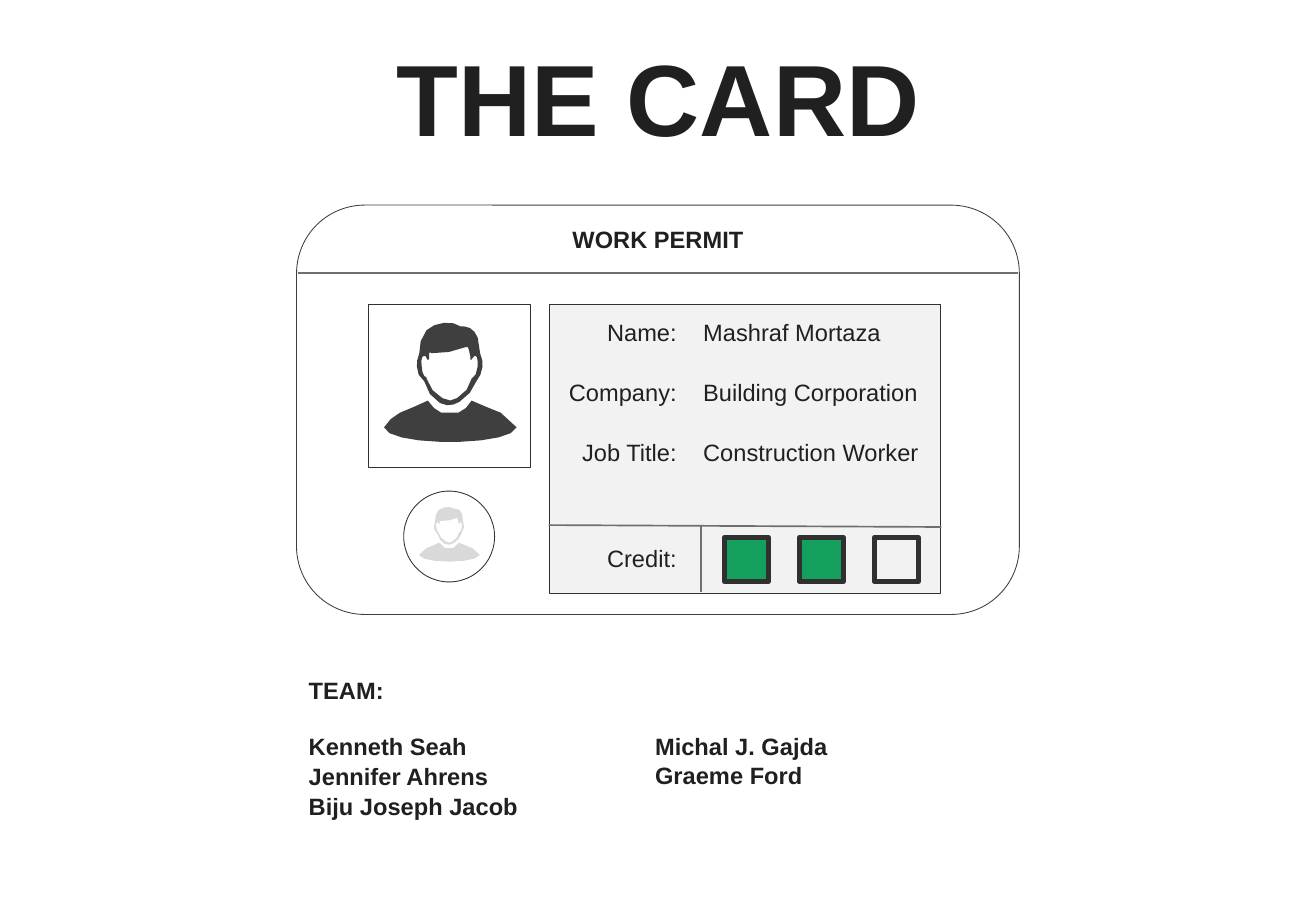
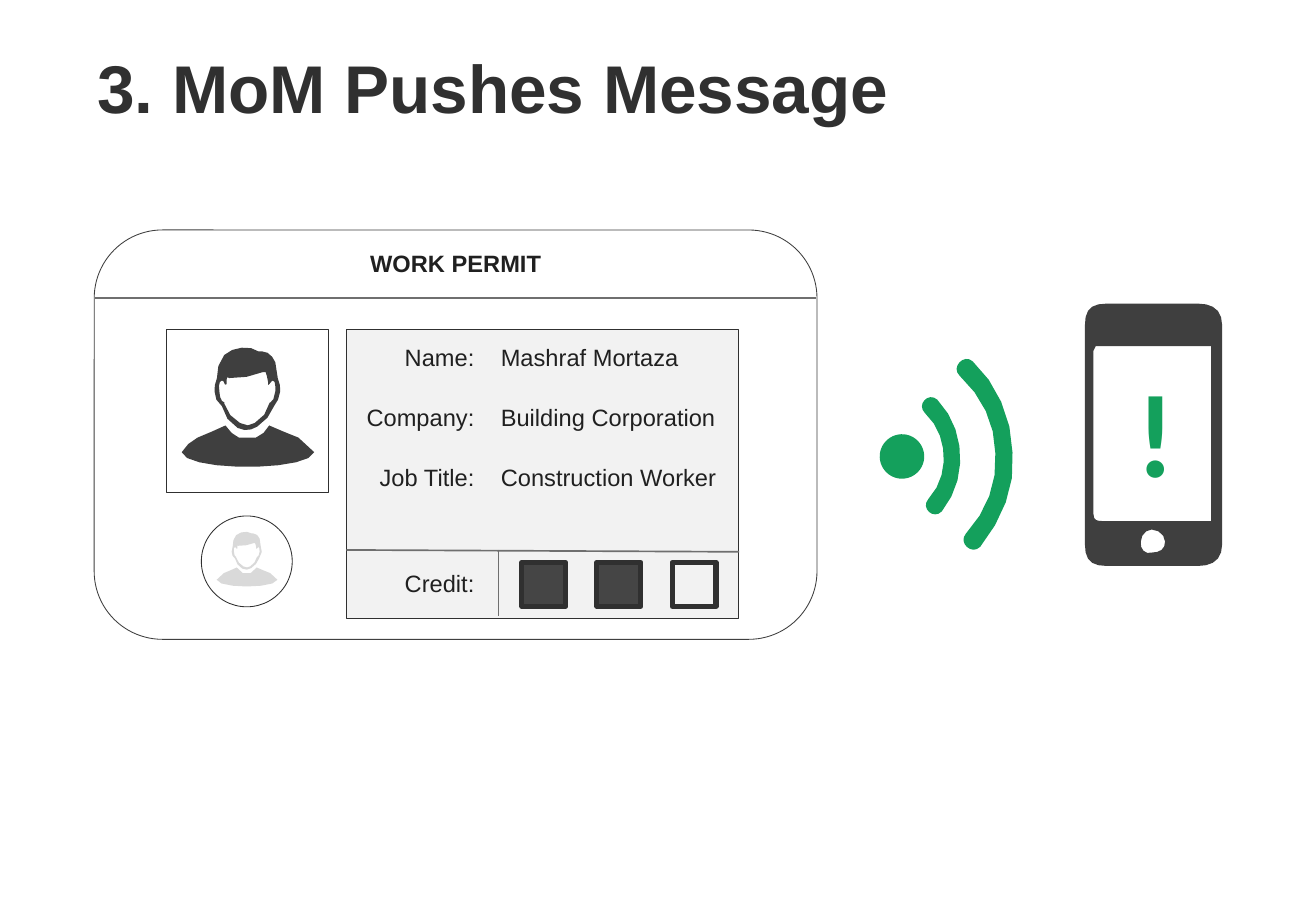
from dataclasses import dataclass
from math import dist, sqrt
from typing import Any, Optional

from lxml.etree import SubElement
from pptx import Presentation
from pptx.dml.color import RGBColor
from pptx.enum.shapes import MSO_CONNECTOR as Conn, MSO_SHAPE as Geo
from pptx.enum.text import MSO_ANCHOR as Anchor, MSO_AUTO_SIZE as AutoSize, PP_ALIGN as Align
from pptx.oxml.ns import qn
from pptx.util import Cm, Pt

COLORS = {
    "ink": "202020", "dark": "303030", "icon": "3F3F3F", "used": "454545",
    "rule": "6F6F6F", "ghost": "D9D9D9", "panel": "F2F2F2", "green": "14A05C",
}
UNITS_PER_CM = 100 / 2.54
MAX_STEPS = 10
FINE = 100


@dataclass(frozen=True)
class Box:
    x: float
    y: float
    w: float
    h: float

    def shift(self, dx: float = 0, dy: float = 0) -> "Box":
        return Box(self.x + dx, self.y + dy, self.w, self.h)

    def emu(self) -> tuple:
        return Cm(self.x), Cm(self.y), Cm(self.w), Cm(self.h)


@dataclass(frozen=True)
class Panel:
    geo: Any
    box: Box
    fill: Optional[str] = None
    line: Optional[str] = "dark"
    weight: float = 0.5


@dataclass(frozen=True)
class Rule:
    x1: float
    y1: float
    x2: float
    y2: float


@dataclass(frozen=True)
class Icon:
    """Closed contours: a start point, then three points for each curve."""
    contours: tuple
    units: float


@dataclass(frozen=True)
class Field:
    label: str
    value: str


PERSON = Icon((
    "61,76 66,74 69,71 72,66 79,71 88,71 96,76 101,79 105,83 109,88 105,104 3,104 0,88 "
    "3,83 7,79 13,76 21,71 29,71 36,66 39,71 43,74 47,76 51,77 57,77 61,76",
    "66,5 71,5 75,9 77,14 79,18 79,23 79,27 81,30 81,36 81,38 80,42 79,48 76,50 "
    "74,57 68,63 62,67 57,70 52,71 46,68 40,64 34,58 33,50 29,48 27,42 27,38 "
    "27,36 27,30 29,27 29,21 30,13 35,8 42,1 57,0 63,5 64,5 64,5 66,5",
    "37,28 37,26 38,26 39,27 44,28 63,25 67,22 68,22 68,22 69,22 70,23 70,24 70,25 "
    "71,26 71,28 71,30 71,33 71,33 72,32 74,30 74,29 75,29 77,29 77,33 77,38 "
    "77,43 74,47 73,47 73,47 72,47 72,48 71,55 66,60 60,64 56,66 53,67 48,64 "
    "42,61 37,55 35,48 35,47 35,47 35,47 33,47 31,43 31,38 30,33 31,29 33,29 "
    "34,29 35,30 35,31 35,32 36,33 37,32 37,32 37,29 37,28",
), 109)
PHONE = Icon((
    "0,198 0,211 5,216 18,216 43,216 68,216 93,216 105,216 113,211 113,198 "
    "113,137 113,78 113,18 113,5 105,0 93,0 68,0 43,0 18,0 5,0 0,5 0,18 0,78 0,137 0,198",
    "55,205 50,207 45,202 46,196 46,191 50,186 55,186 61,186 66,191 66,196 "
    "66,202 62,205 55,205",
    "7,39 7,39 7,37 9,35 39,35 71,35 104,35 104,84 104,130 104,179 "
    "74,179 44,179 14,179 11,179 7,179 7,173 7,128 7,84 7,39",
), 113)
WAVES = (
    Icon(("10,58 36,58 60,81 60,108 60,118 75,118 75,108 73,74 44,45 10,43 0,43 0,58 10,58",), 118),
    Icon(("10,16 35,16 58,25 75,43 93,60 102,83 102,108 102,118 118,118 118,108 "
          "116,79 106,52 85,33 65,12 36,0 10,0 0,0 0,16 10,16",), 118),
)

CARD_PANELS = (
    Panel(Geo.ROUNDED_RECTANGLE, Box(0, 0, 15.11, 8.56), line="icon"),
    Panel(Geo.RECTANGLE, Box(5.28, 2.08, 8.18, 6.05), fill="panel"),
    Panel(Geo.RECTANGLE, Box(1.5, 2.08, 3.4, 3.4)),
    Panel(Geo.OVAL, Box(2.24, 5.98, 1.9, 1.9)),
)
CARD_RULES = (
    Rule(0.02, 1.42, 15.09, 1.42),
    Rule(5.27, 6.69, 13.48, 6.73),
    Rule(8.45, 6.69, 8.45, 8.08),
)
FIELDS = (
    Field("Name:", "Mashraf Mortaza"),
    Field("Company:", "Building Corporation"),
    Field("Job Title:", "Construction Worker"),
)
LABEL = Box(5.46, 2.2, 2.74, 1.09)
VALUE = Box(8.25, 2.2, 5.36, 1.09)
FIELD_STEP = 1.26
CREDIT = Box(8.94, 6.95, 0.92, 0.92)
CREDIT_STEP = 1.57


def rgb(name: str) -> RGBColor:
    return RGBColor.from_string(COLORS[name])


def put_text(tf: Any, *lines: str, size: float = 14, color: str = "ink", font: str = "Arial",
             bold: bool = False, align: Any = Align.LEFT, anchor: Any = Anchor.TOP,
             wrap: bool = True, spacing: float = 1.05, gap: float = 0) -> None:
    """Fill a text frame; gap is the space in points after its first line."""
    tf.auto_size = AutoSize.NONE
    tf.word_wrap = wrap
    tf.vertical_anchor = anchor
    for i, line in enumerate(lines):
        p = tf.add_paragraph() if i else tf.paragraphs[0]
        p.alignment = align
        p.line_spacing = spacing
        p.space_before = Pt(0)
        p.space_after = Pt(0 if i else gap)
        pPr = p._p.get_or_add_pPr()
        pPr.set("marL", "0")
        pPr.set("indent", "0")
        SubElement(pPr, qn("a:buNone"))
        r = p.add_run()
        r.text = line
        r.font.name, r.font.size, r.font.bold = font, Pt(size), bold
        r.font.color.rgb = rgb(color)


def add_text(shapes: Any, box: Box, *lines: str, **fmt: Any) -> None:
    put_text(shapes.add_textbox(*box.emu()).text_frame, *lines, **fmt)


def fill_placeholder(ph: Any, box: Box, *lines: str, **fmt: Any) -> None:
    ph.left, ph.top, ph.width, ph.height = box.emu()
    put_text(ph.text_frame, *lines, bold=True, **fmt)


def paint(sp: Any, fill: Optional[str], line: Optional[str], weight: float = 0.5) -> None:
    sp.shadow.inherit = False
    if fill:
        sp.fill.solid()
        sp.fill.fore_color.rgb = rgb(fill)
    else:
        sp.fill.background()
    if line:
        sp.line.color.rgb = rgb(line)
        sp.line.width = Pt(weight)
    else:
        sp.line.fill.background()


def add_panel(shapes: Any, panel: Panel, dx: float = 0, dy: float = 0) -> None:
    sp = shapes.add_shape(panel.geo, *panel.box.shift(dx, dy).emu())
    paint(sp, panel.fill, panel.line, panel.weight)


def add_rule(shapes: Any, rule: Rule, dx: float, dy: float) -> None:
    c = shapes.add_connector(Conn.STRAIGHT, Cm(rule.x1 + dx), Cm(rule.y1 + dy),
                             Cm(rule.x2 + dx), Cm(rule.y2 + dy))
    c.line.color.rgb = rgb("rule")
    c.line.width = Pt(1)
    SubElement(c._element.spPr, qn("a:effectLst"))


def trace(contour: str, unit: float) -> list:
    """Turn cubic curves into points, with more steps where a curve bulges more."""
    pts = [tuple(float(n) * FINE for n in pair.split(",")) for pair in contour.split()]
    out = [pts[0]]
    for i in range(0, len(pts) - 1, 3):
        a, b, c, d = pts[i:i + 4]
        bulge = max(0, dist(a, b) + dist(b, c) + dist(c, d) - dist(a, d)) * unit
        steps = min(MAX_STEPS, 1 + int(10 * sqrt(bulge)))
        for k in range(1, steps + 1):
            t = k / steps
            weights = ((1 - t) ** 3, 3 * t * (1 - t) ** 2, 3 * t * t * (1 - t), t ** 3)
            out.append(tuple(sum(w * q[axis] for w, q in zip(weights, (a, b, c, d)))
                             for axis in (0, 1)))
    return out


def add_icon(shapes: Any, icon: Icon, x: float, y: float, width: float, fill: str) -> None:
    unit = width / (icon.units * FINE)
    first, *others = [trace(c, unit) for c in icon.contours]
    fb = shapes.build_freeform(*first[0], scale=Cm(1) * unit)
    fb.add_line_segments(first[1:], close=True)
    for pts in others:
        fb.move_to(*pts[0])
        fb.add_line_segments(pts[1:], close=True)
    paint(fb.convert_to_shape(Cm(x), Cm(y)), fill, None)


def add_card(s: Any, x: float, y: float, credit: str) -> None:
    """Draw the work permit with two of its three credits filled."""
    shapes = s.shapes.add_group_shape().shapes
    for panel in CARD_PANELS:
        add_panel(shapes, panel, x, y)
    for rule in CARD_RULES:
        add_rule(shapes, rule, x, y)
    add_text(shapes, Box(4.67, 0.15, 5.77, 1.07).shift(x, y), "WORK PERMIT",
             bold=True, align=Align.CENTER, anchor=Anchor.MIDDLE)
    add_icon(shapes, PERSON, x + 1.83, y + 2.41, 2.77, "icon")
    add_icon(shapes, PERSON, x + 2.56, y + 6.29, 1.27, "ghost")
    for i, field in enumerate(FIELDS):
        dy = y + i * FIELD_STEP
        add_text(shapes, LABEL.shift(x, dy), field.label, align=Align.RIGHT, wrap=False)
        add_text(shapes, VALUE.shift(x, dy), field.value)
    add_text(shapes, LABEL.shift(x, y + 4.74), "Credit:", align=Align.RIGHT, wrap=False)
    for i, fill in enumerate((credit, credit, None)):
        add_panel(shapes, Panel(Geo.RECTANGLE, CREDIT.shift(i * CREDIT_STEP), fill, weight=3), x, y)


def add_signal(s: Any) -> None:
    group = s.shapes.add_group_shape()
    for wave in WAVES:
        add_icon(group.shapes, wave, 18.75, 8.03, wave.units / UNITS_PER_CM, "green")
    add_panel(group.shapes, Panel(Geo.OVAL, Box(18.8, 10.03, 0.93, 0.93), "green", None))
    group.rotation = 42.7


def build_card_slide(prs: Any) -> None:
    s = prs.slides.add_slide(prs.slide_layouts[3])
    title, left, right = s.placeholders
    fill_placeholder(title, Box(6.53, 0.45, 14.45, 3), "THE CARD", size=60,
                     align=Align.CENTER, anchor=Anchor.MIDDLE)
    fill_placeholder(left, Box(6.2, 13.97, 7.2, 3.89), "TEAM:", "Kenneth Seah",
                     "Jennifer Ahrens", "Biju Joseph Jacob", gap=16)
    fill_placeholder(right, Box(13.44, 15.14, 7.2, 2.72), "Michal J. Gajda", "Graeme Ford")
    add_card(s, 6.2, 4.29, "green")


def build_message_slide(prs: Any) -> None:
    s = prs.slides.add_slide(prs.slide_layouts[5])
    fill_placeholder(s.shapes.title, Box(1.78, 0.79, 25.2, 2.26), "3. MoM Pushes Message",
                     size=40, color="dark", anchor=Anchor.MIDDLE, spacing=0.9)
    add_card(s, 1.97, 4.81, "used")
    add_signal(s)
    add_icon(s.shapes, PHONE, 22.68, 6.35, 2.87, "icon")
    add_text(s.shapes, Box(23.52, 7.24, 1.3, 3.23), "!", size=70, color="green",
             font="Calibri", bold=True, align=Align.CENTER, wrap=False)


def main() -> None:
    prs = Presentation()
    prs.slide_width, prs.slide_height = Cm(27.51), Cm(19.05)
    build_card_slide(prs)
    build_message_slide(prs)
    prs.save("out.pptx")


main()
